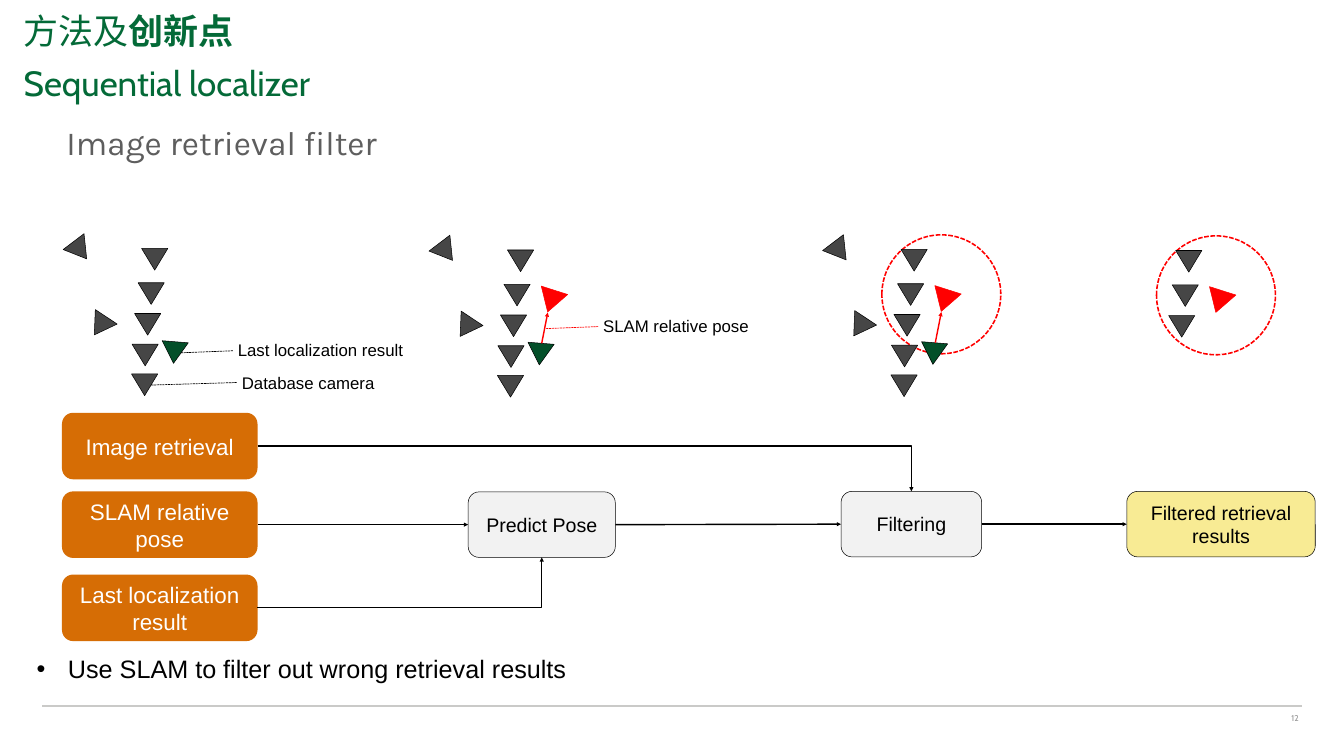
from lxml import etree
from pptx import Presentation
from pptx.dml.color import RGBColor
from pptx.enum.dml import MSO_LINE
from pptx.enum.shapes import MSO_CONNECTOR, MSO_SHAPE
from pptx.enum.text import MSO_ANCHOR, PP_ALIGN
from pptx.oxml.ns import qn
from pptx.util import Inches, Pt

COLORS = {
    "black": "000000", "white": "FFFFFF", "title": "046A38", "subtitle": "5E5E5E",
    "number": "929292", "rule": "CACAC8", "input": "D66D05", "step": "F2F2F2",
    "output": "F8EB94", "camera": "464646", "last": "034F29", "pose": "FF0000",
}

HEADINGS = [
    ((0.37, 0.02, 24.98, 1.17), [("方法及", False), ("创新点", True)], "Cabin", 50, "title", MSO_ANCHOR.MIDDLE, 1),
    ((0.37, 0.98, 24, 1.32), [("Sequential localizer", False)], "Cabin", 50, "title", MSO_ANCHOR.MIDDLE, 1),
    ((1.22, 1.96, 24, 1.15), [("Image retrieval filter", False)], "Karla", 48, "subtitle", MSO_ANCHOR.TOP, 1.5),
]
TAKEAWAY = "Use SLAM to filter out wrong retrieval results"
SLIDE_NUMBER = "12"

FLOW_BOXES = {
    "retrieval": ("Image retrieval", (1.23, 8.19, 3.88, 1.32), "input"),
    "relative": ("SLAM relative pose", (1.23, 9.75, 3.88, 1.32), "input"),
    "last": ("Last localization result", (1.23, 11.4, 3.88, 1.32), "input"),
    "predict": ("Predict Pose", (9.29, 9.76, 2.92, 1.3), "step"),
    "filter": ("Filtering", (16.69, 9.75, 2.79, 1.3), "step"),
    "filtered": ("Filtered retrieval results", (22.36, 9.75, 3.74, 1.3), "output"),
}
TOP, LEFT, BOTTOM, RIGHT = range(4)
FLOW_ARROWS = [
    ("relative", "predict", LEFT),
    ("predict", "filter", LEFT),
    ("filter", "filtered", LEFT),
    ("last", "predict", BOTTOM),
    ("retrieval", "filter", TOP),
]

NEAR = [(1.48, 0.18), (1.41, 0.86), (1.34, 1.47)]
BELOW = [(1.29, 2.08), (1.28, 2.67)]
STRAYS = [(0, 0, 142.8), (0.4, 1.5, 213.5)]
PANELS = [
    ((1.33, 4.75), {"all"}),
    ((8.59, 4.78), {"all", "pose", "motion"}),
    ((16.4, 4.77), {"all", "pose", "motion", "radius"}),
    ((21.85, 4.79), {"pose", "radius"}),
]
CALLOUTS = [
    ("Database camera", (4.7, 7.34, 3.1, 0.5), (3, 7.64), (4.7, 7.59), "black"),
    ("Last localization result", (4.62, 6.7, 3.91, 0.5), (3.59, 7), (4.62, 6.96), "black"),
    ("SLAM relative pose", (11.87, 6.22, 3.44, 0.5), (10.84, 6.52), (11.87, 6.48), "pose"),
]

prs = Presentation()
prs.slide_width, prs.slide_height = Inches(26.67), Inches(15)
slide = prs.slides.add_slide(prs.slide_layouts[6])


def rgb(name):
    return RGBColor.from_string(COLORS[name])


def add_run(paragraph, text, size, color, font="Arial", bold=False):
    run = paragraph.add_run()
    run.text = text
    run.font.name, run.font.size, run.font.bold = font, Pt(size), bold
    run.font.color.rgb = rgb(color)


def add_box(place, anchor=MSO_ANCHOR.TOP, wrap=True):
    frame = slide.shapes.add_textbox(*map(Inches, place)).text_frame
    frame.word_wrap, frame.vertical_anchor = wrap, anchor
    return frame


def add_outline(kind, place, fill, line, width=0.75, rotation=0):
    shape = slide.shapes.add_shape(kind, *map(Inches, place))
    shape.shadow.inherit = False
    shape.rotation = rotation
    if fill:
        shape.fill.solid()
        shape.fill.fore_color.rgb = rgb(fill)
    else:
        shape.fill.background()
    if line:
        shape.line.color.rgb = rgb(line)
        shape.line.width = Pt(width)
    else:
        shape.line.fill.background()
    return shape


def add_line(start, end, color, width, arrow=False, dashed=False, kind=MSO_CONNECTOR.STRAIGHT):
    line = slide.shapes.add_connector(kind, *map(Inches, (*start, *end)))
    line.line.color.rgb = rgb(color)
    line.line.width = Pt(width)
    if dashed:
        line.line.dash_style = MSO_LINE.SQUARE_DOT
    if arrow:
        etree.SubElement(line.line._get_or_add_ln(), qn("a:tailEnd"), type="triangle")
    etree.SubElement(line._element.spPr, qn("a:effectLst"))
    return line


def side_point(place, side):
    x, y, w, h = place
    return {TOP: (x + w / 2, y), LEFT: (x, y + h / 2),
            BOTTOM: (x + w / 2, y + h), RIGHT: (x + w, y + h / 2)}[side]


def add_camera(origin, dx, dy, rotation=180, fill="camera", line="black", size=(0.52, 0.43)):
    place = (origin[0] + dx, origin[1] + dy, *size)
    add_outline(MSO_SHAPE.ISOSCELES_TRIANGLE, place, fill, line, rotation=rotation)


def add_panel(origin, parts):
    x, y = origin
    if "radius" in parts:
        circle = add_outline(MSO_SHAPE.OVAL, (x + 1.1, y - 0.11, 2.36, 2.36), None, "pose", 2.25)
        circle.line.dash_style = MSO_LINE.SQUARE_DOT
    for dx, dy in NEAR:
        add_camera(origin, dx, dy)
    if "all" in parts:
        for dx, dy in BELOW:
            add_camera(origin, dx, dy)
        for dx, dy, rotation in STRAYS:
            add_camera(origin, dx, dy, rotation)
        add_camera(origin, 1.87, 2.03, 184.6, "last")
    if "pose" in parts:
        add_camera(origin, 2.07, 0.97, 197.6, "pose", "pose", (0.55, 0.45))
    if "motion" in parts:
        add_line((x + 2.16, y + 2.03), (x + 2.28, y + 1.42), "pose", 2, arrow=True)


add_line((0.84, 14.01), (25.83, 14.01), "rule", 2)
number = add_box((22.84, 14.08, 2.99, 0.31))
number.margin_left = number.margin_right = number.margin_top = number.margin_bottom = Inches(0.06)
number.paragraphs[0].alignment = PP_ALIGN.RIGHT
add_run(number.paragraphs[0], SLIDE_NUMBER, 12, "number", "Cabin")

for place, pieces, font, size, color, anchor, spacing in HEADINGS:
    heading = add_box(place, anchor).paragraphs[0]
    heading.line_spacing = spacing
    for text, bold in pieces:
        add_run(heading, text, size, color, font, bold)

for origin, parts in PANELS:
    add_panel(origin, parts)

for text, place, start, end, color in CALLOUTS:
    add_run(add_box(place).paragraphs[0], text, 24, "black")
    add_line(start, end, color, 1, dashed=True)

boxes = {}
for key, (text, place, role) in FLOW_BOXES.items():
    is_input = role == "input"
    box = add_outline(MSO_SHAPE.ROUNDED_RECTANGLE, place, role, None if is_input else "black")
    box.text_frame.word_wrap = True
    box.text_frame.vertical_anchor = MSO_ANCHOR.MIDDLE
    label = box.text_frame.paragraphs[0]
    label.alignment = PP_ALIGN.CENTER
    add_run(label, text, 32 if is_input else 28, "white" if is_input else "black")
    boxes[key] = box

for source, target, side in FLOW_ARROWS:
    start = side_point(FLOW_BOXES[source][1], RIGHT)
    end = side_point(FLOW_BOXES[target][1], side)
    kind = MSO_CONNECTOR.STRAIGHT if side == LEFT else MSO_CONNECTOR.ELBOW
    arrow = add_line(start, end, "black", 2, arrow=True, kind=kind)
    if kind == MSO_CONNECTOR.ELBOW:
        arrow._element.spPr.find(qn("a:prstGeom")).set("prst", "bentConnector2")
    arrow.begin_connect(boxes[source], RIGHT)
    arrow.end_connect(boxes[target], side)

takeaway = add_box((0.63, 12.92, 10.82, 0.71), wrap=False).paragraphs[0]
bullet = takeaway._p.get_or_add_pPr()
bullet.set("marL", str(Inches(0.62)))
bullet.set("indent", str(-Inches(0.62)))
etree.SubElement(bullet, qn("a:buFont"), typeface="Arial")
etree.SubElement(bullet, qn("a:buChar"), char="•")
add_run(takeaway, TAKEAWAY, 36, "black")

prs.save("out.pptx")
